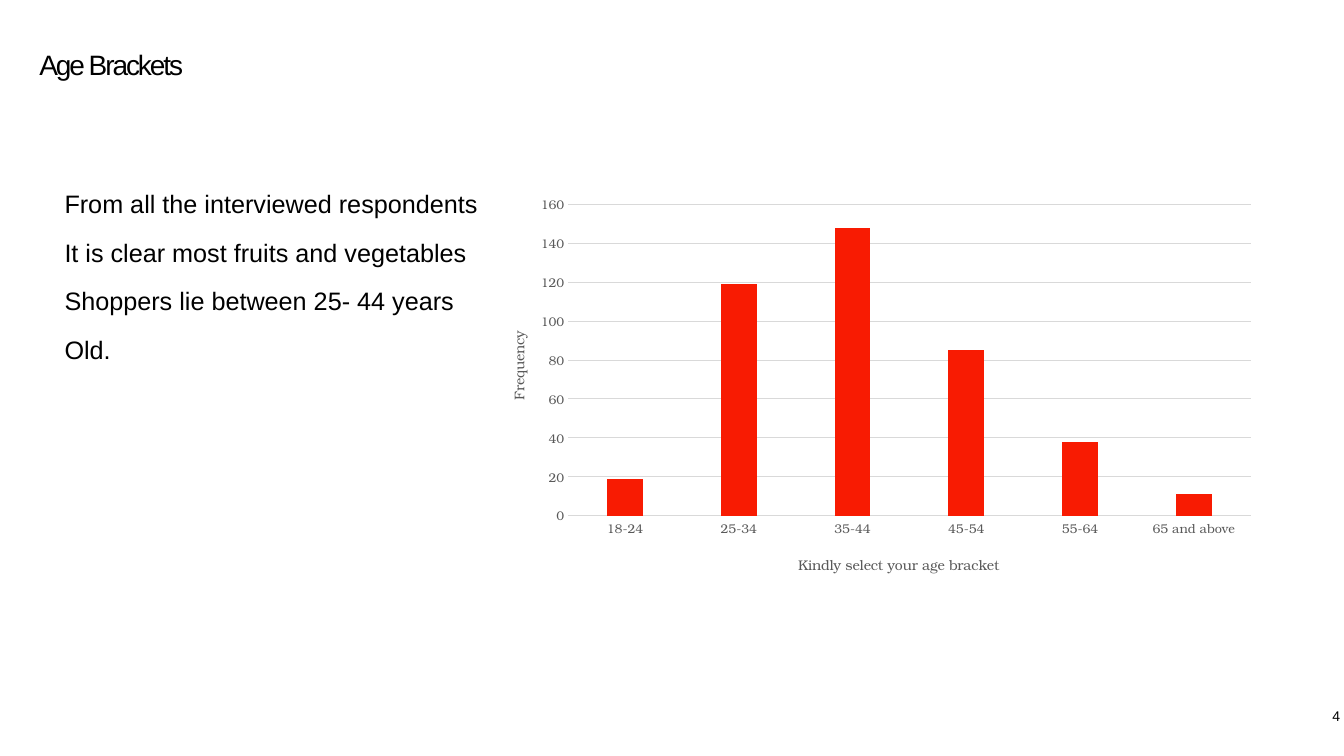
import pptx
import pptx.chart.data
import pptx.dml.color
import pptx.enum.chart
import pptx.enum.text
import pptx.oxml
import pptx.oxml.ns
import pptx.util
from dataclasses import dataclass

Inches = pptx.util.Inches
Pt = pptx.util.Pt
qn = pptx.oxml.ns.qn
Tick = pptx.enum.chart.XL_TICK_MARK


def rgb(code):
    return pptx.dml.color.RGBColor.from_string(code)


@dataclass(frozen=True)
class Theme:
    sans: str = "Arial"
    serif: str = "TeX Gyre Bonum"
    ink: str = "000000"
    gray: str = "595959"
    rule: str = "D9D9D9"
    bar: str = "F81B02"
    head: int = 20
    body: int = 18
    note: int = 10
    tick: int = 9


THEME = Theme()
AGES = {"18-24": 19, "25-34": 119, "35-44": 148,
        "45-54": 85, "55-64": 38, "65 and above": 11}
LINES = ["From all the interviewed respondents",
         "It is clear most fruits and vegetables",
         "Shoppers lie between 25- 44 years",
         "Old."]


def style(font, size, name, color):
    font.size = Pt(size)
    font.name = name
    font.bold = False
    font.color.rgb = rgb(color)


def fit(shape, box, anchor):
    """Place a text shape in its box with no insets."""
    shape.left, shape.top, shape.width, shape.height = map(Inches, box)
    frame = shape.text_frame
    frame.word_wrap = True
    frame.auto_size = pptx.enum.text.MSO_AUTO_SIZE.NONE
    frame.vertical_anchor = anchor
    frame.margin_left = frame.margin_right = 0
    frame.margin_top = frame.margin_bottom = 0
    return frame


def add_text(slide, box, anchor):
    return fit(slide.shapes.add_textbox(*map(Inches, box)), box, anchor)


def add_title(slide, box):
    frame = fit(slide.shapes.title, box, pptx.enum.text.MSO_ANCHOR.TOP)
    frame.text = "Age Brackets"
    para = frame.paragraphs[0]
    para.alignment = pptx.enum.text.PP_ALIGN.LEFT
    style(para.font, THEME.head, THEME.sans, THEME.ink)
    # Tight letter spacing
    para.runs[0].font._element.set("spc", "-150")


def add_body(slide, box):
    frame = add_text(slide, box, pptx.enum.text.MSO_ANCHOR.TOP)
    frame.text = "\n".join(LINES)
    for i, para in enumerate(frame.paragraphs):
        props = para._p.get_or_add_pPr()
        props.set("marL", str(Inches(0.5)))
        props.set("indent", str(Inches(-0.25)))
        if i:
            para.space_before = Pt(13)
        style(para.font, THEME.body, THEME.sans, THEME.ink)


def add_number(slide, box):
    frame = add_text(slide, box, pptx.enum.text.MSO_ANCHOR.MIDDLE)
    frame.text = "4"
    para = frame.paragraphs[0]
    para.alignment = pptx.enum.text.PP_ALIGN.RIGHT
    style(para.font, THEME.note, THEME.sans, THEME.ink)


def set_layout(node, index, inner=False, **parts):
    """Fix a chart part at fractions of the chart's size."""
    old = node.find(qn("c:layout"))
    if old is not None:
        node.remove(old)
    layout = pptx.oxml.parse_xml(
        f'<c:layout {pptx.oxml.ns.nsdecls("c")}><c:manualLayout/></c:layout>')
    rules = {"layoutTarget": "inner"} if inner else {}
    rules.update(xMode="edge", yMode="edge", **parts)
    for key, value in rules.items():
        item = layout[0].makeelement(qn(f"c:{key}"), {"val": str(value)})
        layout[0].append(item)
    node.insert(index, layout)


def set_axis(axis, label, x, y):
    axis.major_tick_mark = axis.minor_tick_mark = Tick.NONE
    style(axis.tick_labels.font, THEME.tick, THEME.serif, THEME.gray)
    title = axis.axis_title
    title.text_frame.text = label
    style(title.text_frame.paragraphs[0].font,
          THEME.note, THEME.serif, THEME.gray)
    set_layout(title._element, 1, x=x, y=y)


def set_line(line):
    line.color.rgb = rgb(THEME.rule)
    line.width = Pt(0.75)


def add_bars(slide, box):
    data = pptx.chart.data.CategoryChartData()
    data.categories = list(AGES)
    data.add_series("Series 1", list(AGES.values()))
    chart = slide.shapes.add_chart(
        pptx.enum.chart.XL_CHART_TYPE.COLUMN_CLUSTERED,
        *map(Inches, box), data).chart
    chart.has_title = chart.has_legend = False
    style(chart.font, THEME.note, THEME.serif, THEME.ink)

    # Columns
    plot = chart.plots[0]
    plot.gap_width, plot.overlap = 219, -27
    plot.vary_by_categories = False
    fill = plot.series[0].format.fill
    fill.solid()
    fill.fore_color.rgb = rgb(THEME.bar)

    # Axes
    ages, count = chart.category_axis, chart.value_axis
    set_axis(ages, "Kindly select your age bracket", 0.4, 0.91)
    set_axis(count, "Frequency", 0.03, 0.35)
    set_line(ages.format.line)
    count.format.line.fill.background()
    count.minimum_scale, count.maximum_scale = 0, 160
    count.major_unit = 20
    set_line(count.major_gridlines.format.line)

    area = chart._chartSpace.find(".//" + qn("c:plotArea"))
    set_layout(area, 0, inner=True, x=0.11, y=0.04, w=0.87, h=0.78)


def main():
    deck = pptx.Presentation()
    deck.slide_width, deck.slide_height = Inches(13.33), Inches(7.5)
    slide = deck.slides.add_slide(deck.slide_layouts[5])
    add_title(slide, (0.39, 0.47, 12.54, 0.44))
    add_body(slide, (0.39, 1.87, 12.54, 4.37))
    add_number(slide, (12.7, 6.99, 0.59, 0.22))
    add_bars(slide, (4.78, 1.87, 7.78, 3.96))
    deck.save("out.pptx")


if __name__ == "__main__":
    main()
